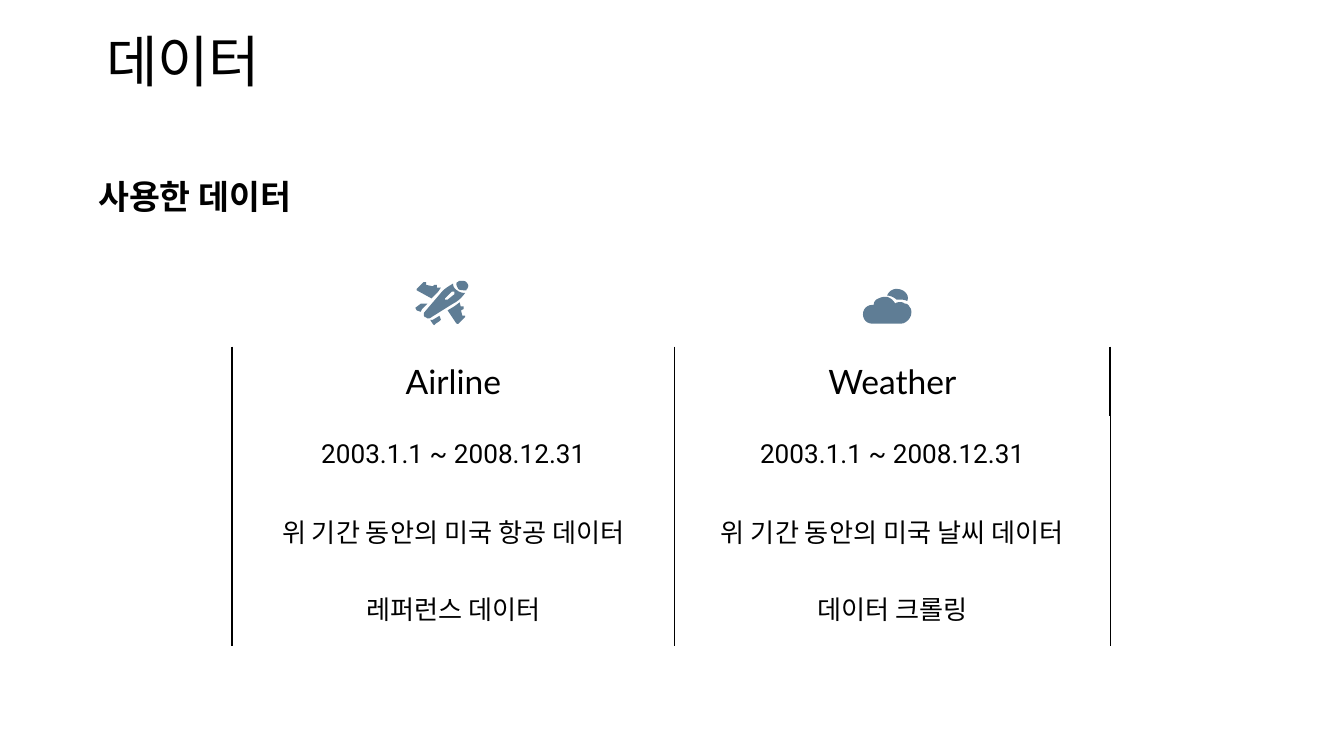
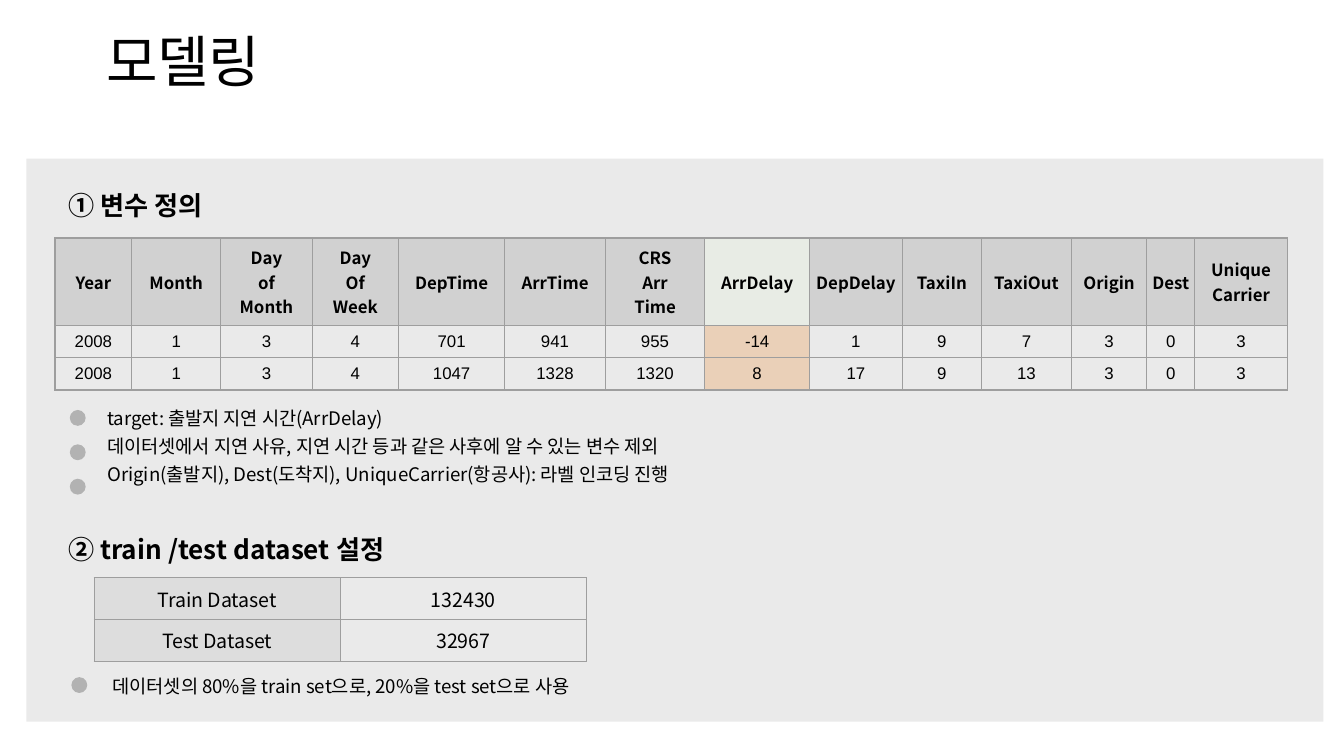
from lxml import etree
from pptx import Presentation
from pptx.dml.color import RGBColor
from pptx.enum.shapes import MSO_SHAPE
from pptx.enum.text import MSO_ANCHOR, MSO_AUTO_SIZE, PP_ALIGN
from pptx.oxml.ns import qn
from pptx.util import Cm, Pt

RECT, OVAL = MSO_SHAPE.RECTANGLE, MSO_SHAPE.OVAL
CENTER, LEFT = PP_ALIGN.CENTER, PP_ALIGN.LEFT
TOP, MIDDLE = MSO_ANCHOR.TOP, MSO_ANCHOR.MIDDLE
NO_FIT = MSO_AUTO_SIZE.NONE

KOREAN, LATIN, DIGITS, NUMBERS = "Noto Sans CJK KR", "Lato", "Roboto", "Arial"
BLACK, ICON, PANEL, DOT = "000000", "5F7D95", "EAEAEA", "B2B2B2"
GRID, HEADER, LABEL = "9E9E9E", "D1D1D1", "DDDDDD"
TARGET_HEADER, TARGET_VALUE = "E8ECE5", "EAD0B8"

TITLE = {"size": 30, "align": CENTER}
SUBTITLE = {"size": 18, "bold": True, "align": CENTER}
HEADING = {"size": 14, "bold": True}
NOTE = {"size": 10, "spacing": 1.25}
INSET = 0.25
DOT_SIZE, DOT_PITCH = 0.3, 0.65

# Icon outlines in hundredths of an inch: a pair is a line, six values a curve.
PLANE = [
    [[(5, 17), (4, 17), (0, 20), (1, 22), (4, 23), (5, 21), (9, 17)]],
    [[(33, 16), (29, 19), (24, 22), (30, 31), (31, 32), (32, 32), (37, 27),
      (37, 26), (35, 26), (34, 22), (36, 21), (36, 19), (34, 19), (34, 20)]],
    [[(7, 1), (6, 1), (1, 6), (1, 7), (12, 13), (17, 8), (19, 5), (16, 5),
      (16, 3), (14, 3), (13, 4), (8, 3), (8, 1)]],
    [[(18, 26), (13, 29), (11, 29), (13, 32), (14, 33), (15, 32), (18, 30),
      (19, 29)]],
    [[(35, 0), (34, 0, 34, 0, 33, 0), (32, 0, 32, 1, 31, 1),
      (30, 3, 31, 4, 32, 6), (33, 7, 35, 7, 36, 7), (37, 7, 38, 7, 38, 7),
      (38, 6, 39, 6, 39, 5), (40, 4, 39, 2, 38, 1), (37, 0, 36, 0, 35, 0)]],
    [[(28, 2), (25, 4, 21, 6, 19, 9), (7, 23), (6, 24, 6, 26, 7, 27),
      (8, 27, 9, 28, 9, 28), (10, 28, 11, 28, 12, 27), (28, 17),
      (32, 15, 35, 12, 37, 9), (34, 9, 32, 8, 31, 7), (29, 6, 28, 4, 28, 2)],
     [(28, 8), (29, 8), (29, 10), (24, 14), (22, 14), (22, 13), (27, 8)]],
]
CLOUD = [
    [[(25, 0), (22, 0, 19, 2, 18, 5), (20, 5, 23, 6, 25, 8),
      (26, 8, 27, 8, 27, 8), (29, 8, 31, 8, 33, 9), (35, 5, 31, 0, 25, 0)]],
    [[(16, 6), (14, 6, 12, 7, 10, 8), (9, 9, 8, 10, 8, 12), (7, 12),
      (3, 12, 0, 15, 0, 19), (0, 23, 3, 26, 7, 26), (28, 26),
      (32, 26, 36, 22, 36, 18), (36, 16, 36, 15, 35, 14),
      (34, 12, 33, 11, 31, 11), (30, 10, 29, 10, 28, 10),
      (26, 10, 25, 10, 24, 11), (23, 9, 21, 7, 18, 6),
      (18, 6, 17, 6, 16, 6)]],
]

DATA_ROWS = [
    ["Airline", "Weather"],
    ["2003.1.1 ~ 2008.12.31"] * 2,
    ["위 기간 동안의 미국 항공 데이터", "위 기간 동안의 미국 날씨 데이터"],
    ["레퍼런스 데이터", "데이터 크롤링"],
]
VARIABLES = [
    ["Year", "Month", "Day\nof\nMonth", "Day\nOf\nWeek", "DepTime", "ArrTime",
     "CRS\nArr\nTime", "ArrDelay", "DepDelay", "TaxiIn", "TaxiOut", "Origin",
     "Dest", "Unique\nCarrier"],
    "2008 1 3 4 701 941 955 -14 1 9 7 3 0 3".split(),
    "2008 1 3 4 1047 1328 1320 8 17 9 13 3 0 3".split(),
]
VARIABLE_WIDTHS = [1.45, 1.68, 1.73, 1.63, 2.01, 1.9, 1.88, 1.98, 1.75, 1.5,
                   1.7, 1.42, 0.91, 1.75]
TARGET_COL = VARIABLES[0].index("ArrDelay")
DATASETS = [["Train Dataset", "132430"], ["Test Dataset", "32967"]]
VARIABLE_NOTES = [
    "target: 출발지 지연 시간(ArrDelay)",
    "데이터셋에서 지연 사유, 지연 시간 등과 같은 사후에 알 수 있는 변수 제외",
    "Origin(출발지), Dest(도착지), UniqueCarrier(항공사): 라벨 인코딩 진행",
]
SPLIT_NOTES = ["데이터셋의 80%을 train set으로, 20%을 test set으로 사용"]


def rgb(value):
    return RGBColor.from_string(value)


def write(tf, lines, size, font=KOREAN, bold=False, align=LEFT, spacing=1.0):
    """Fill a text frame with one unbulleted paragraph per line."""
    for i, line in enumerate(lines):
        p = tf.paragraphs[0] if i == 0 else tf.add_paragraph()
        for name, value in {"alignment": align, "line_spacing": spacing,
                            "space_before": Pt(0)}.items():
            setattr(p, name, value)
        pPr = p._p.get_or_add_pPr()
        pPr.set("marL", "0")
        pPr.set("indent", "0")
        etree.SubElement(pPr, qn("a:buNone"))
        r = p.add_run()
        r.text = line
        for name, value in {"name": font, "size": Pt(size), "bold": bold}.items():
            setattr(r.font, name, value)
        r.font.color.rgb = rgb(BLACK)
        etree.SubElement(r._r.get_or_add_rPr(), qn("a:ea"), typeface=font)


def write_box(sp, box, lines, **fmt):
    """Move a text box or placeholder to its box and fill it."""
    sp.left, sp.top, sp.width, sp.height = map(Cm, box)
    tf = sp.text_frame
    settings = {"word_wrap": True, "auto_size": NO_FIT, "vertical_anchor": TOP}
    for side in ("left", "top", "right", "bottom"):
        settings[f"margin_{side}"] = Cm(INSET)
    for name, value in settings.items():
        setattr(tf, name, value)
    write(tf, lines, **fmt)


def add_text(s, box, text, **fmt):
    write_box(s.shapes.add_textbox(0, 0, 0, 0), box, [text], **fmt)


def add_plain(s, kind, box, color):
    sp = s.shapes.add_shape(kind, *map(Cm, box))
    sp.shadow.inherit = False
    sp.fill.solid()
    sp.fill.fore_color.rgb = rgb(color)
    sp.line.fill.background()


def set_borders(cell, **widths):
    """Draw the given sides (L, R, T, B) as (colour, points); clear the rest."""
    tcPr = cell._tc.get_or_add_tcPr()
    for side in "LRTB":
        color, width = widths.get(side, (None, 0))
        ln = etree.SubElement(tcPr, qn(f"a:ln{side}"), w=str(Pt(width)))
        if color:
            fill = etree.SubElement(ln, qn("a:solidFill"))
            etree.SubElement(fill, qn("a:srgbClr"), val=color)
        else:
            etree.SubElement(ln, qn("a:noFill"))


def add_grid(s, left, top, widths, heights, rows, style):
    """Add a table; style(row, col) gives text format, borders and fill."""
    table = s.shapes.add_table(len(rows), len(widths), Cm(left), Cm(top),
                               Cm(sum(widths)), Cm(sum(heights))).table
    table.first_row = table.horz_banding = False
    for col, width in zip(table.columns, widths):
        col.width = Cm(width)
    for row, height in zip(table.rows, heights):
        row.height = Cm(height)
    for i, row in enumerate(rows):
        for j, text in enumerate(row):
            fmt, borders, fill = style(i, j)
            cell = table.cell(i, j)
            set_borders(cell, **borders)
            if fill:
                cell.fill.solid()
                cell.fill.fore_color.rgb = rgb(fill)
            else:
                cell.fill.background()
            cell.vertical_anchor = MIDDLE
            cell.margin_left = cell.margin_right = Cm(0.03)
            write(cell.text_frame, text.split("\n"), align=CENTER, **fmt)


def flatten(contour, steps=6):
    """Turn lines and cubic curves into a list of points."""
    points = [contour[0]]
    for seg in contour[1:]:
        if len(seg) == 2:
            points.append(seg)
            continue
        x0, y0 = points[-1]
        x1, y1, x2, y2, x3, y3 = seg
        for k in range(1, steps + 1):
            t = k / steps
            a, b, c, d = (1 - t) ** 3, 3 * t * (1 - t) ** 2, 3 * t * t * (1 - t), t ** 3
            points.append((a * x0 + b * x1 + c * x2 + d * x3,
                           a * y0 + b * y1 + c * y2 + d * y3))
    return points


def add_icon(s, left, top, outlines):
    unit = Cm(2.54) / 100
    group = s.shapes.add_group_shape()
    for contours in outlines:
        builder = None
        for contour in contours:
            points = [(Cm(left) + x * unit, Cm(top) + y * unit)
                      for x, y in flatten(contour)]
            if builder is None:
                builder = group.shapes.build_freeform(*points[0])
            else:
                builder.move_to(*points[0])
            builder.add_line_segments(points[1:], close=True)
        sp = builder.convert_to_shape()
        sp.shadow.inherit = False
        sp.fill.solid()
        sp.fill.fore_color.rgb = rgb(ICON)
        sp.line.fill.background()


def add_slide(prs, layout, title):
    s = prs.slides.add_slide(prs.slide_layouts[layout])
    write_box(s.shapes.title, (-0.41, 0.25, 7.75, 1.42), [title], **TITLE)
    return s


def add_dots(s, left, top, count):
    for i in range(count):
        add_plain(s, OVAL, (left, top + i * DOT_PITCH, DOT_SIZE, DOT_SIZE), DOT)


def data_style(row, col):
    thin, thick = (BLACK, 0.75), (BLACK, 1)
    borders = {"L": thin if col else thick,
               "R": thick if col and row == 0 else thin}
    size, font = [(18, LATIN), (14, DIGITS), (14, KOREAN), (14, KOREAN)][row]
    return {"size": size, "font": font}, borders, None


def variable_style(row, col):
    fmt = {"size": 9, "bold": row == 0, "font": NUMBERS if row else KOREAN}
    if col == TARGET_COL:
        fill = TARGET_VALUE if row else TARGET_HEADER
    else:
        fill = None if row else HEADER
    return fmt, dict.fromkeys("LRTB", (GRID, 0.75)), fill


def dataset_style(row, col):
    return ({"size": 10.5}, dict.fromkeys("LRTB", (GRID, 0.75)),
            None if col else LABEL)


def data_table(s, left, top):
    add_grid(s, left, top, [8.36, 8.23], [1.32, 1.45, 1.45, 1.45],
             DATA_ROWS, data_style)
    add_icon(s, left + 3.46, top - 1.24, PLANE)
    add_icon(s, left + 11.92, top - 1.09, CLOUD)


def variables_region(s, left, top):
    add_text(s, (left, top, 4.14, 0.89), "① 변수 정의", **HEADING)
    add_grid(s, left, top + 1.17, VARIABLE_WIDTHS, [1.65, 0.61, 0.61],
             VARIABLES, variable_style)
    add_dots(s, left + 0.28, top + 4.42, len(VARIABLE_NOTES))
    write_box(s.placeholders[1], (left + 0.74, top + 4.01, 15.19, 1.85),
              VARIABLE_NOTES, **NOTE)


def split_region(s, left, top):
    add_text(s, (left, top, 7.7, 0.89), "② train /test dataset 설정", **HEADING)
    add_grid(s, left + 0.74, top + 1.09, [4.65, 4.65], [0.79, 0.79],
             DATASETS, dataset_style)
    add_dots(s, left + 0.31, top + 2.97, len(SPLIT_NOTES))
    add_text(s, (left + 0.84, top + 2.57, 11.43, 1.85), SPLIT_NOTES[0], **NOTE)


def data_slide(prs):
    s = add_slide(prs, 5, "데이터")
    add_text(s, (1.52, 3.07, 4.32, 0.99), "사용한 데이터", **SUBTITLE)
    data_table(s, 4.39, 6.55)


def modeling_slide(prs):
    s = add_slide(prs, 1, "모델링")
    add_plain(s, RECT, (0.5, 3, 24.51, 10.64), PANEL)
    body = s.placeholders[1]._element
    body.getparent().append(body)
    variables_region(s, 1.04, 3.33)
    split_region(s, 1.04, 9.83)


def main():
    prs = Presentation()
    prs.slide_width, prs.slide_height = Cm(25.4), Cm(14.29)
    data_slide(prs)
    modeling_slide(prs)
    prs.save("out.pptx")


if __name__ == "__main__":
    main()
